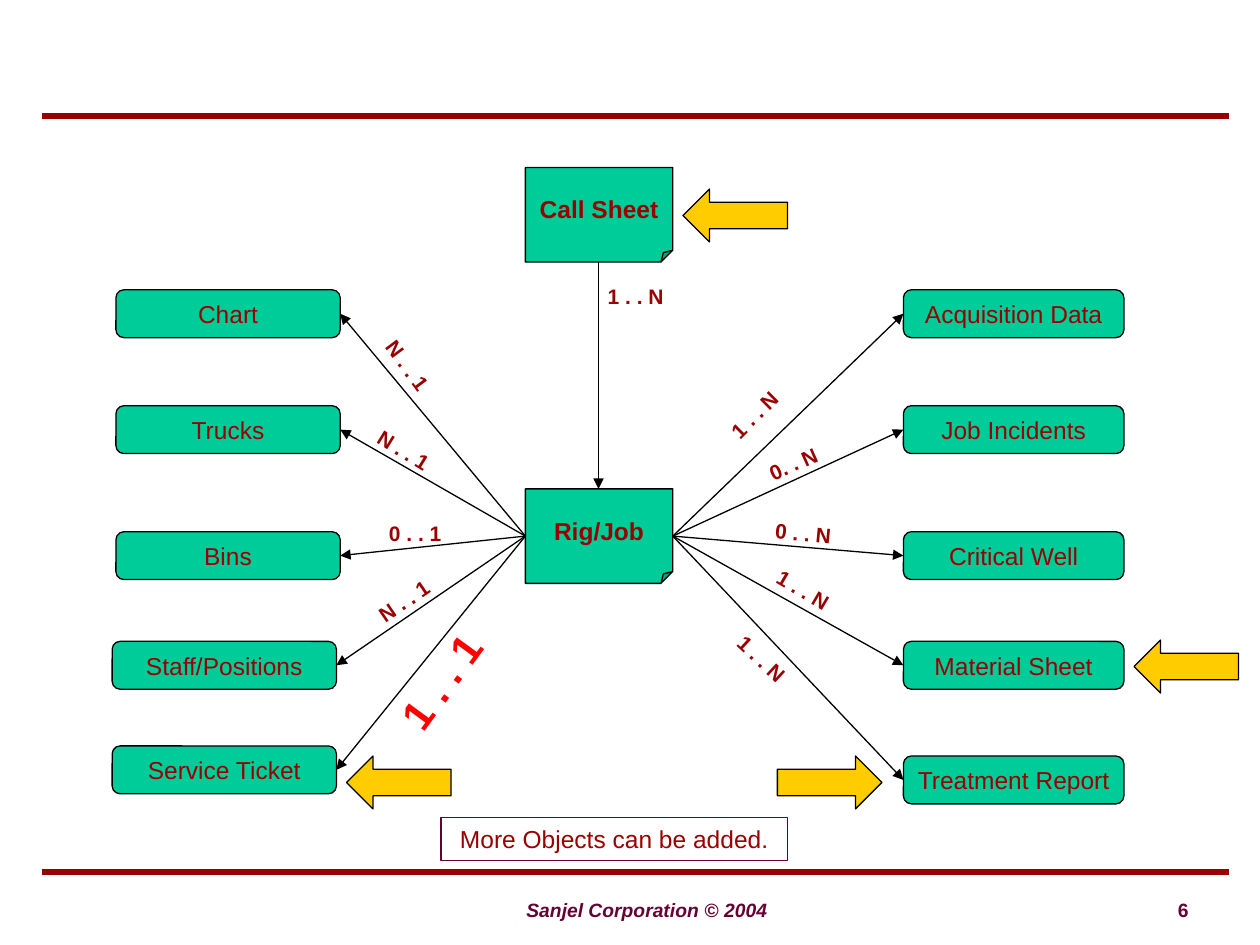
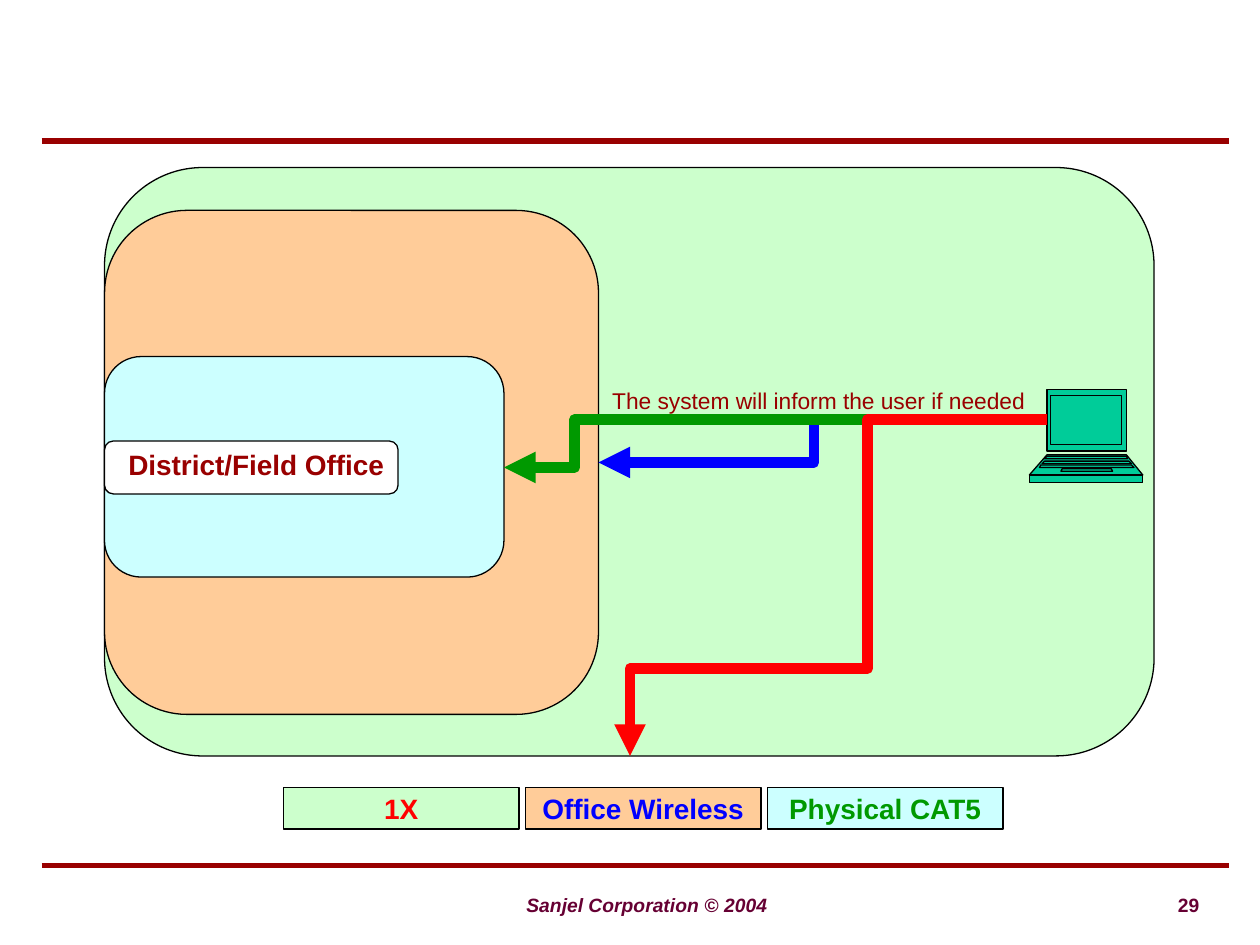
from dataclasses import dataclass
from typing import Optional

from lxml import etree
from pptx import Presentation
from pptx.dml.color import RGBColor
from pptx.enum.shapes import MSO_CONNECTOR, MSO_SHAPE
from pptx.enum.text import MSO_ANCHOR, PP_ALIGN
from pptx.oxml.ns import qn
from pptx.util import Inches, Pt

FONT = "Arial"
COLORS = {
    "maroon": "990000", "plum": "660033", "teal": "00CC99", "gold": "FFCC00",
    "black": "000000", "white": "FFFFFF", "red": "FF0000", "blue": "0000FF",
    "green": "009900", "mint": "CCFFCC", "peach": "FFCC99", "ice": "CCFFFF",
}
RECT = MSO_SHAPE.RECTANGLE
ROUNDED = MSO_SHAPE.ROUNDED_RECTANGLE
FOLDED = MSO_SHAPE.FOLDED_CORNER
ARROW = MSO_SHAPE.RIGHT_ARROW
STRAIGHT = MSO_CONNECTOR.STRAIGHT
ELBOW = MSO_CONNECTOR.ELBOW
LEFT = PP_ALIGN.LEFT
CENTER = PP_ALIGN.CENTER
TOP = MSO_ANCHOR.TOP
MIDDLE = MSO_ANCHOR.MIDDLE


@dataclass
class Box:
    left: float
    top: float
    width: float
    height: float


@dataclass
class TextStyle:
    size: int
    color: str = "maroon"
    bold: bool = False
    align: PP_ALIGN = CENTER


@dataclass
class Link:
    name: str
    left: float
    top: float
    label: str
    label_left: float
    label_top: float
    angle: float = 0


@dataclass
class Route:
    color: str
    end: tuple[float, float]
    bends: dict[str, float]


@dataclass
class Zone:
    box: Box
    fill: str


@dataclass
class LaptopPart:
    top: float
    bottom: float
    top_left: float
    top_right: float
    bottom_left: float
    bottom_right: float


BODY = TextStyle(14)
HEADING = TextStyle(14, bold=True)
COUNT = TextStyle(12, bold=True)
KEY_COUNT = TextStyle(24, "red", bold=True)
FOOTER = TextStyle(11, "plum", bold=True, align=LEFT)

NODE_H = 0.38
LEFT_W, RIGHT_W = 1.78, 1.75
HUB = Box(4.17, 3.88, 1.17, 0.75)
CALL_SHEET = Box(4.17, 1.33, 1.17, 0.75)
LEFT_LINKS = [
    Link("Chart", 0.92, 2.3, "N . . 1", 2.86, 2.75, 53.3),
    Link("Trucks", 0.92, 3.22, "N . . 1", 2.83, 3.42, 31.6),
    Link("Bins", 0.92, 4.22, "0 . . 1", 2.92, 4.08),
    Link("Staff/Positions", 0.89, 5.09, "N . . 1", 2.83, 4.62, 325.6),
    Link("Service Ticket", 0.89, 5.92, "1 . . 1", 2.92, 5.16, 306.2),
]
RIGHT_LINKS = [
    Link("Acquisition Data", 7.17, 2.3, "1 . . N", 5.61, 3.14, 315.2),
    Link("Job Incidents", 7.17, 3.22, "0. . N", 5.92, 3.53, 335.9),
    Link("Critical Well", 7.17, 4.22, "0 . . N", 6, 4.08, 5.5),
    Link("Material Sheet", 7.17, 5.09, "1 . . N", 6, 4.53, 30.5),
    Link("Treatment Report", 7.17, 6, "1 . . N", 5.67, 5.08, 43),
]
POINTERS = [(6.17, 6, 0), (2.75, 6, 180), (5.42, 1.5, 180), (9, 5.08, 180)]

COVERAGE = Zone(Box(0.83, 1.33, 8.33, 4.67), "mint")
OFFICE_ZONES = [
    Zone(Box(0.83, 1.67, 3.92, 4), "peach"),
    Zone(Box(0.83, 2.83, 3.17, 1.75), "ice"),
    Zone(Box(0.83, 3.5, 2.33, 0.42), "white"),
]
LEGEND = [
    ("1X", "mint", "red"),
    ("Office Wireless", "peach", "blue"),
    ("Physical CAT5", "ice", "green"),
]
LAPTOP_PORT = (8.31, 3.33)
ROUTES = [
    Route("blue", (4.75, 3.67), {"adj1": 0.52}),
    Route("green", (4, 3.71), {"adj1": 0.87}),
    Route("red", (5, 6), {"adj1": 0.43, "adj2": 0.74}),
]
LAPTOP = [
    LaptopPart(3.09, 3.58, 8.31, 8.94, 8.31, 8.94),
    LaptopPart(3.61, 3.77, 8.31, 8.94, 8.17, 9.07),
    LaptopPart(3.77, 3.83, 8.17, 9.07, 8.17, 9.07),
    LaptopPart(3.14, 3.53, 8.34, 8.9, 8.34, 8.9),
    LaptopPart(3.62, 3.64, 8.31, 8.94, 8.29, 8.95),
    LaptopPart(3.72, 3.74, 8.43, 8.82, 8.42, 8.83),
    LaptopPart(3.66, 3.68, 8.29, 8.96, 8.27, 8.98),
    LaptopPart(3.69, 3.71, 8.26, 8.98, 8.25, 9),
]


def rgb(name: str) -> RGBColor:
    return RGBColor.from_string(COLORS[name])


def add_run(p, text: str, style: TextStyle, italic: bool = False) -> None:
    r = p.add_run()
    r.text = text
    r.font.name = FONT
    r.font.size = Pt(style.size)
    r.font.bold = style.bold
    r.font.italic = italic
    r.font.color.rgb = rgb(style.color)


def prepare_text(sp, style: TextStyle, wrap: bool, anchor: MSO_ANCHOR):
    tf = sp.text_frame
    tf.word_wrap = wrap
    tf.vertical_anchor = anchor
    tf.margin_left = tf.margin_right = Inches(0.1)
    tf.margin_top = tf.margin_bottom = Inches(0.05)
    p = tf.paragraphs[0]
    p.alignment = style.align
    return p


def paint(sp, fill: Optional[str], line: str = "black") -> None:
    sp.shadow.inherit = False
    if fill:
        sp.fill.solid()
        sp.fill.fore_color.rgb = rgb(fill)
    else:
        sp.fill.background()
    sp.line.color.rgb = rgb(line)
    sp.line.width = Pt(0.75)


def inches(box: Box) -> list[Inches]:
    return [Inches(v) for v in (box.left, box.top, box.width, box.height)]


def set_guides(sp, values: dict[str, float]):
    geom = sp._element.spPr.find(qn("a:prstGeom"))
    guides = geom.find(qn("a:avLst"))
    if guides is None:
        guides = etree.SubElement(geom, qn("a:avLst"))
    for name, value in values.items():
        etree.SubElement(guides, qn("a:gd"), name=name, fmla=f"val {round(value * 100000)}")
    return geom


def add_block(s, kind: MSO_SHAPE, box: Box, fill: Optional[str], text: str = "",
              style: TextStyle = BODY, line: str = "black"):
    sp = s.shapes.add_shape(kind, *inches(box))
    paint(sp, fill, line)
    if text:
        add_run(prepare_text(sp, style, False, MIDDLE), text, style)
    return sp


def add_text(s, box: Box, style: TextStyle, *parts: tuple[str, bool], angle: float = 0) -> None:
    sp = s.shapes.add_textbox(*inches(box))
    sp.rotation = angle
    p = prepare_text(sp, style, True, TOP)
    for text, italic in parts:
        add_run(p, text, style, italic)


def add_line(s, start: tuple[float, float], end: tuple[float, float], color: str = "black",
             width: float = 0.75, arrow: bool = True, kind: MSO_CONNECTOR = STRAIGHT):
    cx = s.shapes.add_connector(kind, *[Inches(v) for v in (*start, *end)])
    cx.line.color.rgb = rgb(color)
    cx.line.width = Pt(width)
    sp_pr = cx._element.spPr
    if arrow:
        etree.SubElement(sp_pr.get_or_add_ln(), qn("a:tailEnd"), type="triangle")
    etree.SubElement(sp_pr, qn("a:effectLst"))
    return cx


def add_route(s, route: Route) -> None:
    cx = add_line(s, LAPTOP_PORT, route.end, route.color, 6, kind=ELBOW)
    xfrm = cx._element.spPr.find(qn("a:xfrm"))
    xfrm.attrib.pop("flipH", None)
    xfrm.set("rot", "10800000")
    xfrm.set("flipV", "1")
    geom = set_guides(cx, route.bends)
    geom.set("prst", f"bentConnector{len(route.bends) + 2}")


def add_frame(s, number: str, header_y: float, footer_y: float, text_y: float) -> None:
    for y in (header_y, footer_y):
        add_line(s, (0.33, y), (9.75, y), "maroon", 3, arrow=False)
    add_text(s, Box(9.25, text_y, 0.42, 0.29), FOOTER, (number, False))
    add_text(s, Box(4.08, text_y, 2.17, 0.29), FOOTER,
             ("Sanjel Corporation ", True), ("©", False), (" 2004", True))


def add_link(s, link: Link, width: float, hub_x: float, edge_x: float) -> None:
    add_block(s, ROUNDED, Box(link.left, link.top, width, NODE_H), "teal", link.name)
    add_line(s, (hub_x, HUB.top + HUB.height / 2), (edge_x, link.top + NODE_H / 2))
    key = link.name == "Service Ticket"
    w, h = (1.16, 0.5) if key else (0.75, 0.3)
    add_text(s, Box(link.label_left, link.label_top, w, h), KEY_COUNT if key else COUNT,
             (link.label, False), angle=link.angle)


def build_objects(s) -> None:
    add_frame(s, "6", 0.92, 6.92, 7.08)
    note = add_block(s, RECT, Box(3.5, 6.49, 2.75, 0.34), None, "More Objects can be added.",
                     line="plum")
    note.text_frame.vertical_anchor = TOP
    for name, box in (("Call Sheet", CALL_SHEET), ("Rig/Job", HUB)):
        sheet = add_block(s, FOLDED, box, "teal", name, HEADING)
        set_guides(sheet, {"adj": 1 / 8})
    add_line(s, (4.75, CALL_SHEET.top + CALL_SHEET.height), (4.75, HUB.top))
    add_text(s, Box(4.67, 2.2, 0.75, 0.3), COUNT, ("1 . . N", False))
    for link in LEFT_LINKS:
        add_link(s, link, LEFT_W, HUB.left, link.left + LEFT_W)
    for link in RIGHT_LINKS:
        add_link(s, link, RIGHT_W, HUB.left + HUB.width, link.left)
    for left, top, angle in POINTERS:
        add_block(s, ARROW, Box(left, top, 0.83, 0.42), "gold").rotation = angle


def add_laptop(s) -> None:
    for part in LAPTOP:
        fb = s.shapes.build_freeform(Inches(part.top_left), Inches(part.top))
        corners = [(part.top_right, part.top), (part.bottom_right, part.bottom),
                   (part.bottom_left, part.bottom)]
        fb.add_line_segments([(Inches(x), Inches(y)) for x, y in corners], close=True)
        paint(fb.convert_to_shape(), "teal")


def build_network(s) -> None:
    add_block(s, ROUNDED, COVERAGE.box, COVERAGE.fill)
    add_frame(s, "29", 1.12, 6.87, 7.04)
    add_laptop(s)
    for zone in OFFICE_ZONES:
        add_block(s, ROUNDED, zone.box, zone.fill)
    add_text(s, Box(0.9, 3.5, 2.27, 0.37), TextStyle(16, bold=True),
             ("District/Field Office", False))
    for i, (text, fill, color) in enumerate(LEGEND):
        add_block(s, RECT, Box(2.25 + i * 1.92, 6.25, 1.87, 0.33), fill, text,
                  TextStyle(16, color, bold=True))
    for route in ROUTES:
        add_route(s, route)
    add_text(s, Box(4.58, 3.02, 3.83, 0.32), TextStyle(13),
             ("The system will inform the user if needed", False))


def main() -> None:
    prs = Presentation()
    prs.slide_width, prs.slide_height = Inches(10), Inches(7.5)
    for build in (build_objects, build_network):
        build(prs.slides.add_slide(prs.slide_layouts[6]))
    prs.save("out.pptx")


if __name__ == "__main__":
    main()
